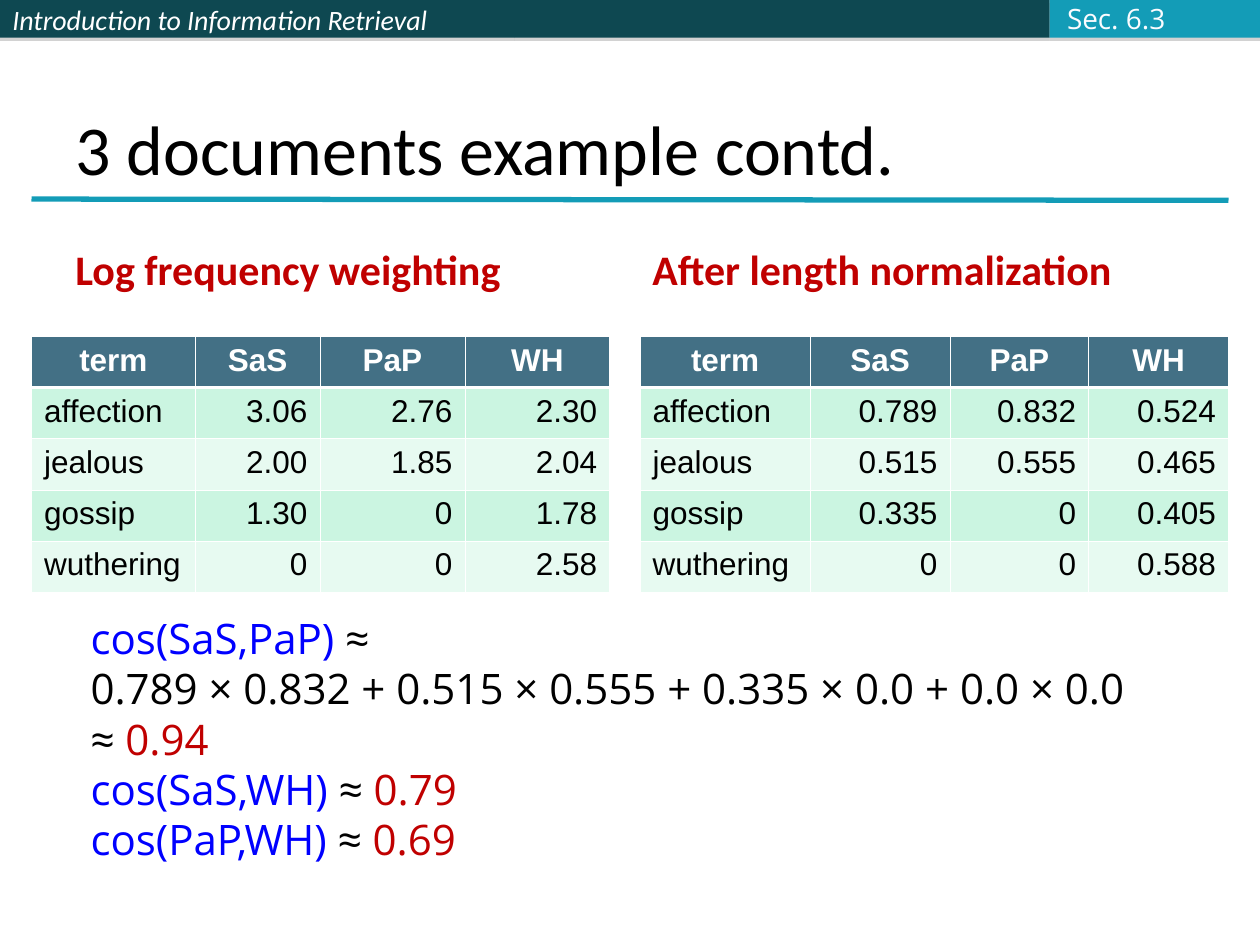
import pptx
import pptx.util
import pptx.dml.color
import pptx.enum.shapes
import pptx.enum.text
import pptx.oxml
import pptx.oxml.ns

Inches, Pt = pptx.util.Inches, pptx.util.Pt
ALIGN = pptx.enum.text.PP_ALIGN
ANCHOR = pptx.enum.text.MSO_ANCHOR
NS = pptx.oxml.ns.nsdecls("a")

DARK, TEAL, WHITE, BLACK = "0E4851", "139CB7", "FFFFFF", "000000"
RED, BLUE, HEAD = "C00000", "0000FF", "437085"
BANDS = ("CBF5E1", "E7FAF1")

BARS = [(0, 4.08, DARK), (4.08, 4.25, DARK), (8.33, 1.67, TEAL)]
BAR_H = 0.3
COURSE = "Introduction to Information Retrieval"
SECTION = "Sec. 6.3"
TITLE = "3 documents example contd."

HEADER = ("term", "SaS", "PaP", "WH")
PANELS = [
    {"title": "Log frequency weighting", "title_x": 0.5, "x": 0.25,
     "cols": (1.3, 0.99, 1.15, 1.15),
     "rows": [("affection", "3.06", "2.76", "2.30"),
              ("jealous", "2.00", "1.85", "2.04"),
              ("gossip", "1.30", "0", "1.78"),
              ("wuthering", "0", "0", "2.58")]},
    {"title": "After length normalization", "title_x": 5.08, "x": 5.08,
     "cols": (1.35, 1.11, 1.1, 1.11),
     "rows": [("affection", "0.789", "0.832", "0.524"),
              ("jealous", "0.515", "0.555", "0.465"),
              ("gossip", "0.335", "0", "0.405"),
              ("wuthering", "0", "0", "0.588")]},
]
TABLE_Y, TABLE_H = 2.67, 2.03

COSINES = [
    [("cos(SaS,PaP) ", BLUE), ("≈", BLACK)],
    [("0.789 × 0.832 + 0.515 × 0.555 + 0.335 × 0.0 + 0.0 × 0.0", BLACK)],
    [("≈ ", BLACK), ("0.94", RED)],
    [("cos(SaS,WH)", BLUE), (" ≈ ", BLACK), ("0.79", RED)],
    [("cos(PaP,WH) ", BLUE), ("≈ ", BLACK), ("0.69", RED)],
]


def rgb(code):
    return pptx.dml.color.RGBColor.from_string(code)


def paint(thing, code):
    thing.fill.solid()
    thing.fill.fore_color.rgb = rgb(code)


def write(para, text, size, font, code, bold=False, italic=False):
    run = para.add_run()
    run.text = text
    run.font.size = Pt(size)
    run.font.name = font
    run.font.color.rgb = rgb(code)
    run.font.bold = bold
    run.font.italic = italic


def add_box(slide, x, y, w, h, anchor, wrap=True):
    """Add a text box and return its text frame."""
    frame = slide.shapes.add_textbox(
        Inches(x), Inches(y), Inches(w), Inches(h)).text_frame
    frame.word_wrap = wrap
    frame.vertical_anchor = anchor
    return frame


def add_bar(slide, x, w, code):
    bar = slide.shapes.add_shape(
        pptx.enum.shapes.MSO_SHAPE.RECTANGLE,
        Inches(x), 0, Inches(w), Inches(BAR_H))
    paint(bar, code)
    bar.line.fill.background()
    bar.shadow.inherit = False
    effects = bar._element.spPr.find(pptx.oxml.ns.qn("a:effectLst"))
    effects.append(pptx.oxml.parse_xml(
        f'<a:outerShdw {NS} blurRad="0" dist="{Pt(1.8)}" dir="5400000" '
        'rotWithShape="0"><a:srgbClr val="808080"><a:alpha val="35000"/>'
        '</a:srgbClr></a:outerShdw>'))
    return bar


def add_edges(cell, row):
    """Draw white borders, thicker between the header and the body."""
    widths = {"L": 0.45, "R": 0.45, "T": 1.47 if row == 1 else 0.45,
              "B": 1.47 if row == 0 else 0.45}
    props = cell._tc.get_or_add_tcPr()
    for spot, (side, width) in enumerate(widths.items()):
        props.insert(spot, pptx.oxml.parse_xml(
            f'<a:ln{side} {NS} w="{Pt(width)}"><a:solidFill>'
            f'<a:srgbClr val="{WHITE}"/></a:solidFill></a:ln{side}>'))


def add_panel(slide, panel):
    frame = add_box(slide, panel["title_x"], 1.68, 4.42, 0.7, ANCHOR.BOTTOM)
    para = frame.paragraphs[0]
    para.space_before = Pt(6)
    write(para, panel["title"], 24, "Calibri", RED, bold=True)

    rows, cols = [HEADER] + panel["rows"], panel["cols"]
    table = slide.shapes.add_table(
        len(rows), len(cols), Inches(panel["x"]), Inches(TABLE_Y),
        Inches(sum(cols)), Inches(TABLE_H)).table
    for col, width in zip(table.columns, cols):
        col.width = Inches(width)
    for r, row in enumerate(rows):
        for c, text in enumerate(row):
            cell, top = table.cell(r, c), r == 0
            paint(cell, HEAD if top else BANDS[(r - 1) % 2])
            add_edges(cell, r)
            para = cell.text_frame.paragraphs[0]
            para.alignment = (ALIGN.CENTER if top else
                              ALIGN.RIGHT if c else ALIGN.LEFT)
            write(para, text, 18, "Arial", WHITE if top else BLACK, bold=top)


def main():
    deck = pptx.Presentation()
    deck.slide_width, deck.slide_height = Inches(10), Inches(7.5)
    slide = deck.slides.add_slide(deck.slide_layouts[6])

    bars = [add_bar(slide, *bar) for bar in BARS]
    frame = bars[0].text_frame
    frame.vertical_anchor = ANCHOR.MIDDLE
    frame.paragraphs[0].alignment = ALIGN.LEFT
    write(frame.paragraphs[0], COURSE, 16, "Calibri", WHITE, italic=True)

    rule = slide.shapes.add_connector(
        pptx.enum.shapes.MSO_CONNECTOR.STRAIGHT,
        Inches(0.25), Inches(1.58), Inches(9.75), Inches(1.59))
    rule.line.color.rgb = rgb(TEAL)
    rule.line.width = Pt(3)
    rule._element.spPr.append(pptx.oxml.parse_xml(f"<a:effectLst {NS}/>"))

    frame = add_box(slide, 0.5, 0.3, 9, 1.25, ANCHOR.BOTTOM)
    write(frame.paragraphs[0], TITLE, 40, "Calibri", BLACK)

    for panel in PANELS:
        add_panel(slide, panel)

    frame = add_box(slide, 0.62, 4.81, 8.42, 2.1, ANCHOR.TOP, wrap=False)
    for i, line in enumerate(COSINES):
        para = frame.add_paragraph() if i else frame.paragraphs[0]
        para.line_spacing = Pt(28.8)
        for text, code in line:
            write(para, text, 24, "Open Sans", code)

    frame = add_box(slide, 8.37, -0.04, 0.98, 0.37, ANCHOR.MIDDLE, wrap=False)
    write(frame.paragraphs[0], SECTION, 16, "Open Sans", "FBFCFF")

    deck.save("out.pptx")


if __name__ == "__main__":
    main()
